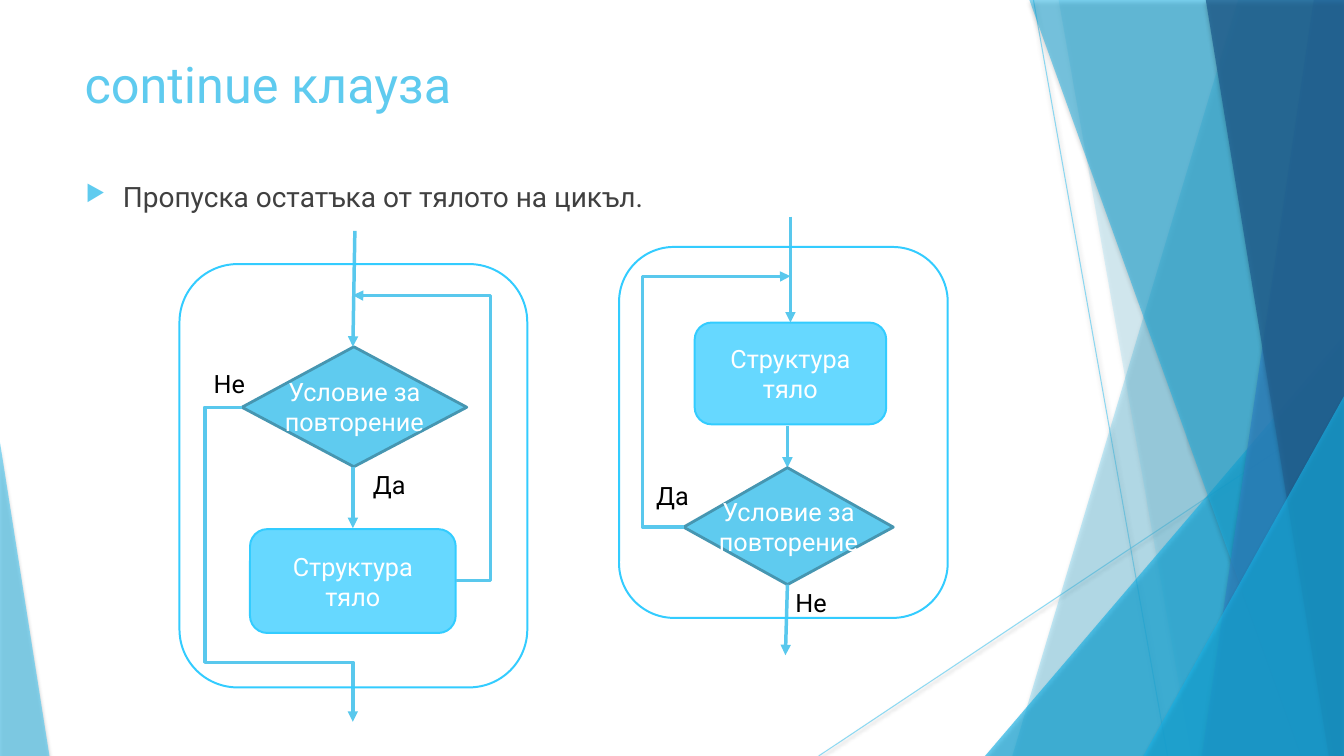
from lxml import etree
from pptx import Presentation, util as u
from pptx.dml.color import RGBColor
from pptx.enum import shapes, text
from pptx.oxml.ns import qn

COLORS = {
    "sky": "5FCBEF", "azure": "17B0E4", "blue": "2E83C3", "navy": "226292",
    "edge": "4696B1", "arrow": "59C8ED", "cyan": "33CCFF",
    "white": "FFFFFF", "black": "000000", "body": "404040",
}
CONDITION = "Условие за повторение"
BODY = "Структура тяло"


class SlideBuilder:
    font = "Roboto"

    def __init__(self, slide):
        self.shapes = slide.shapes

    def rgb(self, name):
        return RGBColor.from_string(COLORS[name])

    def child(self, parent, tag, **attributes):
        values = {key: str(value) for key, value in attributes.items()}
        return etree.SubElement(parent, qn(tag), values)

    def fade(self, element, percent):
        for color in element.iter(qn("a:srgbClr")):
            self.child(color, "a:alpha", val=percent * 1000)

    def cast_shadow(self, effects, alpha, blur, distance):
        shadow = self.child(effects, "a:outerShdw", blurRad=u.Pt(blur),
                            dist=u.Pt(distance), dir=5400000, rotWithShape=0)
        color = self.child(shadow, "a:srgbClr", val=COLORS["black"])
        self.child(color, "a:alpha", val=alpha * 1000)

    def paint(self, shape, fill=None, opacity=100, line=None, width=1.42):
        shape.shadow.inherit = False
        if fill:
            shape.fill.solid()
            shape.fill.fore_color.rgb = self.rgb(fill)
            if opacity < 100:
                self.fade(shape._element.spPr.find(qn("a:solidFill")), opacity)
        else:
            shape.fill.background()
        if line:
            shape.line.color.rgb = self.rgb(line)
            shape.line.width = u.Pt(width)
        else:
            shape.line.fill.background()
        return shape

    def set_words(self, shape, words, size, color, align=None, anchor=None):
        frame = shape.text_frame
        frame.word_wrap = True
        frame.text = words
        frame.vertical_anchor = anchor or text.MSO_ANCHOR.TOP
        paragraph = frame.paragraphs[0]
        paragraph.alignment = align or text.PP_ALIGN.LEFT
        for run in paragraph.runs:
            run.font.name = self.font
            run.font.size = u.Pt(size)
            run.font.color.rgb = self.rgb(color)
        return paragraph

    def centre_words(self, shape, words):
        self.set_words(shape, words, 18, "white", text.PP_ALIGN.CENTER, text.MSO_ANCHOR.MIDDLE)

    def text_box(self, box, words, size=18, color="black"):
        return self.set_words(self.shapes.add_textbox(*map(u.Inches, box)), words, size, color)

    def bullet(self, box, words):
        properties = self.text_box(box, words, 20, "body")._p.get_or_add_pPr()
        properties.set("marL", str(u.Inches(0.38)))
        properties.set("indent", str(u.Inches(-0.37)))
        self.child(self.child(properties, "a:buClr"), "a:srgbClr", val=COLORS["sky"])
        self.child(properties, "a:buSzPct", val=80000)
        self.child(properties, "a:buChar", char="▶")

    def polygon(self, points):
        start, *rest = [tuple(map(u.Inches, point)) for point in points]
        builder = self.shapes.build_freeform(*start)
        builder.add_line_segments(rest, close=True)
        return builder.convert_to_shape()

    def preset(self, kind, box, adjust):
        shape = self.shapes.add_shape(kind, *map(u.Inches, box))
        shape.adjustments[0] = adjust
        return shape

    def facet(self, shape, color, opacity):
        self.paint(shape, color, opacity)
        self.cast_shadow(shape._element.spPr.find(qn("a:effectLst")), 35, 3, 2)

    def triangle(self, box, apex, color, opacity):
        self.facet(self.preset(shapes.MSO_SHAPE.ISOSCELES_TRIANGLE, box, apex), color, opacity)

    def connector(self, start, end, color, width, kind=shapes.MSO_CONNECTOR.STRAIGHT):
        line = self.shapes.add_connector(kind, *map(u.Inches, (*start, *end)))
        line.line.color.rgb = self.rgb(color)
        line.line.width = u.Pt(width)
        properties = line._element.spPr
        return properties, self.child(properties, "a:effectLst")

    def thin_line(self, start, end):
        properties, effects = self.connector(start, end, "sky", 0.75)
        self.fade(properties, 70)
        self.cast_shadow(effects, 38, 3.1, 1.6)

    def arrow(self, start, end, bends=None):
        kind = shapes.MSO_CONNECTOR.ELBOW if bends else shapes.MSO_CONNECTOR.STRAIGHT
        properties, _ = self.connector(start, end, "arrow", 2.5, kind)
        self.child(properties.find(qn("a:ln")), "a:tailEnd", type="triangle")
        if bends:
            geometry = properties.find(qn("a:prstGeom"))
            geometry.set("prst", "bentConnector4")
            guides = geometry.find(qn("a:avLst"))
            if guides is None:
                guides = self.child(geometry, "a:avLst")
            for number, bend in enumerate(bends, 1):
                self.child(guides, "a:gd", name=f"adj{number}",
                           fmla=f"val {round(bend * 100000)}")

    def decision(self, left, top, right, bottom, middle):
        x, y = middle
        diamond = self.polygon([(left, y), (x, top), (right, y), (x, bottom)])
        self.paint(diamond, "sky", line="edge", width=2)
        self.centre_words(diamond, CONDITION)

    def rounded(self, box, fill=None, words=None):
        shape = self.preset(shapes.MSO_SHAPE.ROUNDED_RECTANGLE, box, 0.167)
        self.paint(shape, fill, 75, "cyan")
        if words:
            self.centre_words(shape, words)


def main():
    deck = Presentation()
    deck.slide_width, deck.slide_height = u.Inches(13.33), u.Inches(7.5)
    page = SlideBuilder(deck.slides.add_slide(deck.slide_layouts[6]))

    # Faceted background: top and bottom of each band's left edge
    def band(top, bottom, color, opacity):
        corners = [(top, 0), (13.33, 0), (13.33, 7.5), (bottom, 7.5)]
        page.facet(page.polygon(corners), color, opacity)

    page.thin_line((10.25, 0), (11.58, 7.5))
    page.thin_line((13.33, 4.03), (8.12, 7.5))
    band(12.28, 10.04, "sky", 36)
    band(10.5, 11.82, "sky", 20)
    page.triangle((9.77, 3.33, 3.56, 4.17), 1, "azure", 66)
    band(10.21, 12.91, "azure", 50)
    band(13.03, 11.92, "blue", 70)
    band(11.96, 13.18, "navy", 80)
    page.triangle((11.34, 3.93, 1.99, 3.57), 1, "azure", 66)
    page.triangle((0, 4.39, 0.49, 3.11), 0, "sky", 70)

    # Title and statement
    page.text_box((0.74, 0.48, 9.4, 0.96), "continue клауза", 36, "sky")
    page.bullet((0.74, 1.73, 9.75, 5.37), "Пропуска остатъка от тялото на цикъл.")

    # Loop that tests its condition first
    page.decision(2.4, 3.44, 4.63, 4.63, (3.51, 4.04))
    page.text_box((2.02, 3.61, 0.58, 0.4), "Не")
    page.arrow((2.4, 4.04), (3.5, 7.16), (-0.335, 0.811))
    page.text_box((3.6, 4.61, 0.58, 0.4), "Да")
    page.rounded((2.48, 5.25, 2.04, 1.03), "cyan", BODY)
    page.arrow((3.52, 2.29), (3.5, 3.44))
    page.arrow((3.5, 4.63), (3.5, 5.24))
    page.arrow((4.52, 5.76), (3.5, 2.93), (-0.337, 0.999))
    page.rounded((1.78, 2.62, 3.45, 4.2))

    # Loop that tests its condition last
    page.arrow((7.81, 4.23), (7.81, 4.64))
    page.decision(6.78, 4.64, 8.86, 5.8, (7.81, 5.23))
    page.text_box((7.79, 5.78, 0.54, 0.4), "Не")
    page.arrow((6.78, 5.23), (7.84, 2.74), (-0.383, 0.999))
    page.text_box((6.41, 4.72, 0.54, 0.4), "Да")
    page.rounded((6.89, 3.2, 1.9, 1.01), "cyan", BODY)
    page.arrow((7.84, 2.15), (7.84, 3.2))
    page.arrow((7.81, 5.8), (7.79, 6.5))
    page.rounded((6.14, 2.45, 3.26, 3.68))

    deck.save("out.pptx")


if __name__ == "__main__":
    main()
